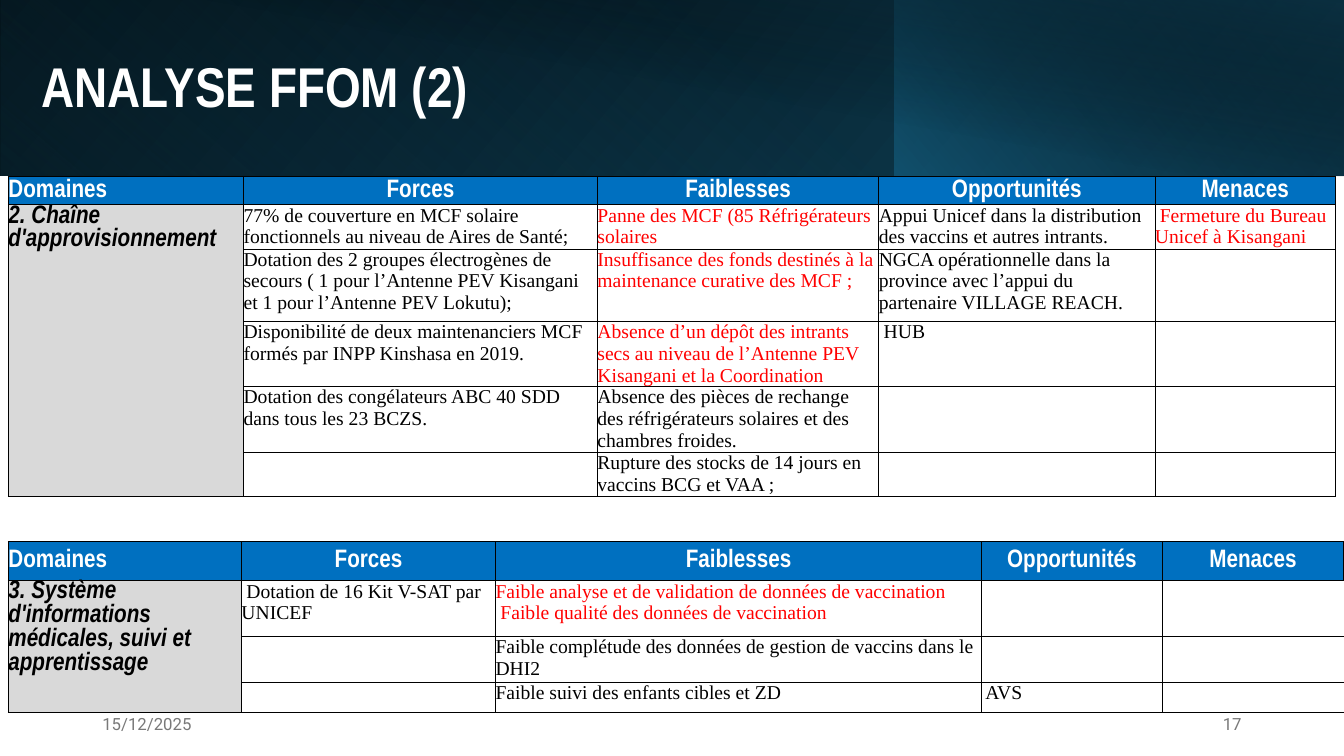
import dataclasses

import lxml.etree
import pptx
import pptx.dml.color
import pptx.enum.shapes
import pptx.enum.text
import pptx.oxml.ns
import pptx.util

PX = 9525
ALIGN = pptx.enum.text.PP_ALIGN
MIDDLE = pptx.enum.text.MSO_ANCHOR.MIDDLE


@dataclasses.dataclass(frozen=True)
class Theme:
    white: str = "FFFFFF"
    black: str = "000000"
    red: str = "FF0000"
    header: str = "0070C0"
    domain: str = "D9D9D9"
    footer: str = "797979"
    teal: str = "156082"
    mid_teal: str = "104862"
    dark_teal: str = "0B3041"
    heading_font: str = "Arial Narrow"
    body_font: str = "Times New Roman"
    footer_font: str = "Roboto"
    title_size: int = 40
    header_size: int = 18
    body_size: int = 14
    footer_size: int = 12


T = Theme()


@dataclasses.dataclass(frozen=True)
class Red:
    text: str


HEADERS = ["Domaines", "Forces", "Faiblesses", "Opportunités", "Menaces"]

SUPPLY = [
    HEADERS,
    ["2. Chaîne d'approvisionnement",
     "77% de couverture en MCF solaire fonctionnels au niveau de Aires de Santé;",
     Red("Panne des MCF (85 Réfrigérateurs solaires"),
     "Appui Unicef dans la distribution des vaccins et autres intrants.",
     Red(" Fermeture du Bureau Unicef à Kisangani")],
    ["",
     "Dotation des 2 groupes électrogènes de secours ( 1 pour l’Antenne PEV Kisangani "
     "et 1 pour l’Antenne PEV Lokutu);",
     Red("Insuffisance des fonds destinés à la maintenance curative des MCF ;"),
     "NGCA opérationnelle dans la province avec l’appui du partenaire VILLAGE REACH.",
     ""],
    ["",
     "Disponibilité de deux maintenanciers MCF formés par INPP Kinshasa en 2019.",
     Red("Absence d’un dépôt des intrants secs au niveau de l’Antenne PEV Kisangani "
         "et la Coordination"),
     " HUB",
     ""],
    ["",
     "Dotation des congélateurs ABC 40 SDD dans tous les 23 BCZS.",
     "Absence des pièces de rechange des réfrigérateurs solaires et des chambres froides.",
     "",
     ""],
    ["", "", "Rupture des stocks de 14 jours en vaccins BCG et VAA ;", "", ""],
]

INFORMATION = [
    HEADERS,
    ["3. Système d'informations médicales, suivi et apprentissage",
     " Dotation de 16 Kit V-SAT par UNICEF",
     Red("Faible analyse et de validation de données de vaccination\n"
         " Faible qualité des données de vaccination"),
     "",
     ""],
    ["", "", "Faible complétude des données de gestion de vaccins dans le DHI2", "", ""],
    ["", "", "Faible suivi des enfants cibles et ZD", " AVS", ""],
]


def rgb(color):
    return pptx.dml.color.RGBColor.from_string(color)


def emu(box):
    return [v * PX for v in box]


def sub(parent, tag, **attrs):
    return lxml.etree.SubElement(parent, pptx.oxml.ns.qn(tag),
                                 {k: str(v) for k, v in attrs.items()})


def style(p, font, size, color, bold=False, italic=False, align=ALIGN.LEFT):
    p.alignment = align
    f = p.font
    f.name, f.size, f.bold, f.italic = font, pptx.util.Pt(size), bold, italic
    f.color.rgb = rgb(color)


def gradient_panel(slide, box, stops, angle, flip=True, rotation=0):
    sp = slide.shapes.add_shape(pptx.enum.shapes.MSO_SHAPE.RECTANGLE, *emu(box))
    sp.shadow.inherit = False
    sp.line.fill.background()
    sp.rotation = rotation
    if flip:
        sp._element.spPr.xfrm.set("flipH", "1")
    sp.fill.gradient()
    grad = sp._element.spPr.find(pptx.oxml.ns.qn("a:gradFill"))
    for child in list(grad):
        grad.remove(child)
    gs_list = sub(grad, "a:gsLst")
    for pos, color, alpha in stops:
        gs = sub(gs_list, "a:gs", pos=pos * 1000)
        sub(sub(gs, "a:srgbClr", val=color), "a:alpha", val=alpha * 1000)
    sub(grad, "a:lin", ang=angle * 60000, scaled=0)


def banner(slide, box):
    x, y, w, h = box
    split = w * 2 // 3 - 1
    gradient_panel(slide, box, [(0, T.black, 100), (100, T.mid_teal, 100)], 140)
    gradient_panel(slide, (x, y, split, h), [(20, T.teal, 0), (100, T.dark_teal, 55)],
                   230, rotation=180)
    gradient_panel(slide, (x + split, y, w - split, h), [(0, T.teal, 66), (100, T.black, 30)],
                   220)
    gradient_panel(slide, (x + 48, y, w - 48, h + 1), [(50, T.black, 0), (99, T.dark_teal, 52)],
                   280, flip=False)

    title = slide.shapes.title
    slide.shapes._spTree.append(title._element)
    title.left, title.top, title.width, title.height = emu((x + 30, y + 31, 1153, 108))
    tf = title.text_frame
    tf.text = "ANALYSE FFOM (2)"
    tf.word_wrap = True
    tf.vertical_anchor = MIDDLE
    p = tf.paragraphs[0]
    p.line_spacing = 0.9
    style(p, T.heading_font, T.title_size, T.white, bold=True)


def footer(slide, box):
    x, y, w, h = box
    field = 288
    for left, text, align in ((x, "15/12/2025", ALIGN.LEFT),
                              (x + w - field, "17", ALIGN.RIGHT)):
        tf = slide.shapes.add_textbox(*emu((left, y, field, h))).text_frame
        tf.text = text
        tf.word_wrap = True
        tf.vertical_anchor = MIDDLE
        style(tf.paragraphs[0], T.footer_font, T.footer_size, T.footer, align=align)


def borders(cell, widths):
    tc_pr = cell._tc.get_or_add_tcPr()
    for side, width in zip("LRTB", widths):
        ln = sub(tc_pr, f"a:ln{side}", w=int(width * 12700))
        sub(sub(ln, "a:solidFill"), "a:srgbClr", val=T.black)


def swot_table(slide, box, cols, rows, data):
    frame = slide.shapes.add_table(len(rows), len(cols), *emu(box))
    table = frame.table
    table.first_row = table.horz_banding = False
    for column, width in zip(table.columns, cols):
        column.width = width * PX
    for row, height in zip(table.rows, rows):
        row.height = height * PX
    table.cell(1, 0).merge(table.cell(len(rows) - 1, 0))
    for i, row in enumerate(data):
        for j, value in enumerate(row):
            cell = table.cell(i, j)
            head, domain = i == 0, j == 0
            borders(cell, (1 if domain or (head and j == 1) else 0.5,
                           1 if head and j in (0, len(cols) - 1) else 0.5,
                           1 if head else 0.5, 0.5))
            cell.margin_left = cell.margin_top = cell.margin_right = cell.margin_bottom = 0
            cell.fill.solid()
            fill = T.header if head else T.domain if domain else T.white
            cell.fill.fore_color.rgb = rgb(fill)
            red = isinstance(value, Red)
            cell.text_frame.text = value.text if red else value
            if head:
                cell.vertical_anchor = MIDDLE
            for p in cell.text_frame.paragraphs:
                if head:
                    style(p, T.heading_font, T.header_size, T.white, bold=True,
                          align=ALIGN.LEFT if domain else ALIGN.CENTER)
                elif domain:
                    style(p, T.heading_font, T.header_size, T.black, bold=True, italic=True)
                else:
                    style(p, T.body_font, T.body_size, T.red if red else T.black)


def main():
    prs = pptx.Presentation()
    prs.slide_width, prs.slide_height = 1280 * PX, 720 * PX
    slide = prs.slides.add_slide(prs.slide_layouts[5])
    banner(slide, (0, 0, 1280, 167))
    swot_table(slide, (8, 168, 1264, 305), [224, 337, 268, 263, 172],
               [27, 42, 69, 62, 63, 42], SUPPLY)
    swot_table(slide, (8, 516, 1272, 162), [222, 242, 463, 172, 173],
               [37, 53, 44, 28], INFORMATION)
    footer(slide, (88, 670, 1104, 38))
    prs.save("out.pptx")


if __name__ == "__main__":
    main()
